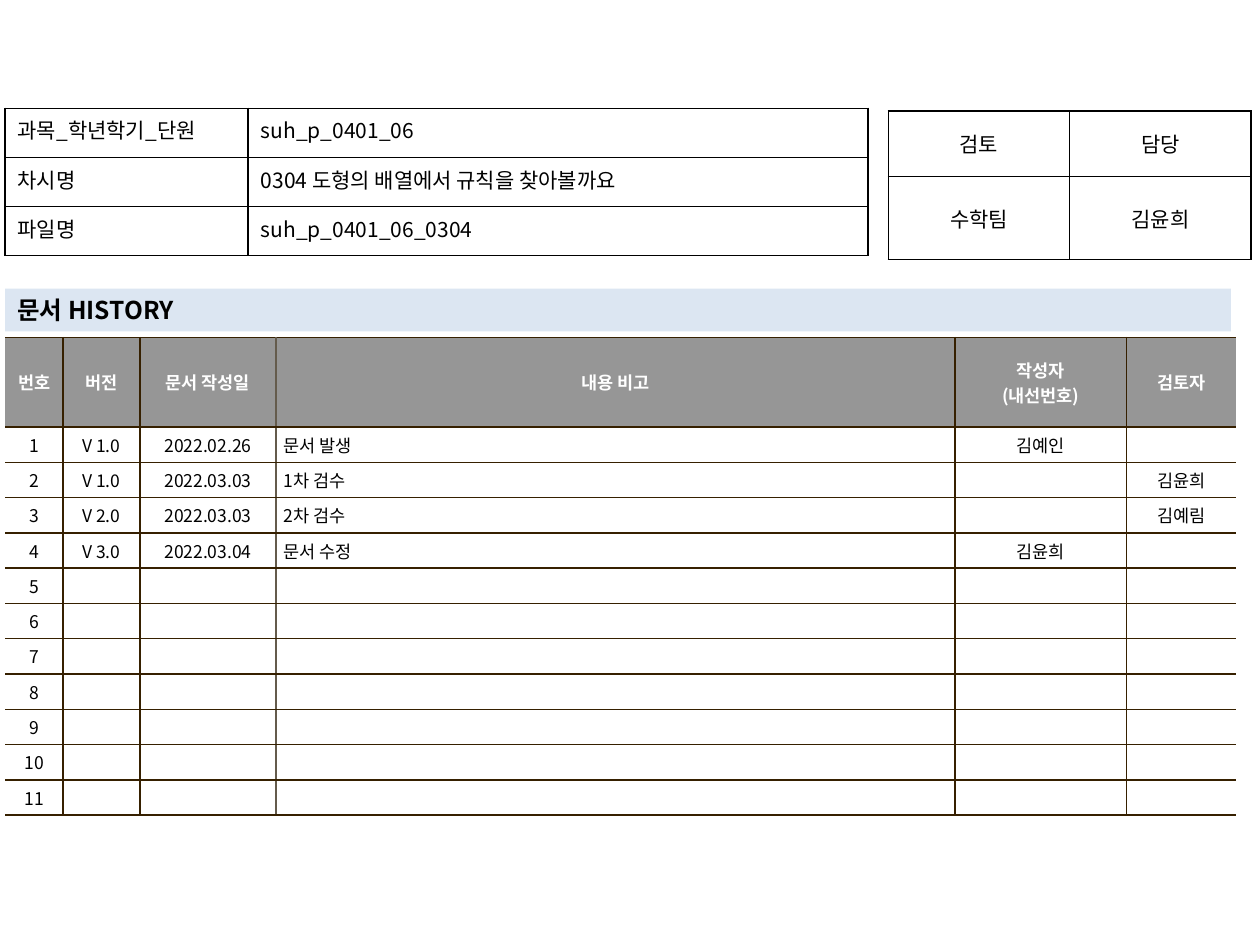
"""Build the document history slide with its header tables."""
from lxml.etree import SubElement
from pptx import Presentation
from pptx.dml.color import RGBColor
from pptx.enum.shapes import MSO_SHAPE
from pptx.enum.text import MSO_ANCHOR, MSO_AUTO_SIZE, PP_ALIGN
from pptx.oxml.ns import qn
from pptx.util import Inches, Pt

FONT = "Noto Sans CJK KR"
COLORS = {
    "black": "000000",
    "white": "FFFFFF",
    "header": "969696",
    "band": "DCE6F2",
    "rule": "362000",
    "soft_rule": "645B4C",
}
LEFT, CENTER, JUSTIFY = PP_ALIGN.LEFT, PP_ALIGN.CENTER, PP_ALIGN.JUSTIFY

DOCUMENT_ROWS = [
    ["과목_학년학기_단원", "suh_p_0401_06"],
    ["차시명", "0304 도형의 배열에서 규칙을 찾아볼까요"],
    ["파일명", "suh_p_0401_06_0304"],
]
REVIEW_ROWS = [["검토", "담당"], ["수학팀", "김윤희"]]
HISTORY_HEADER = ["번호", "버전", "문서 작성일", "내용 비고", "작성자\n(내선번호)", "검토자"]
HISTORY_ENTRIES = [
    ["V 1.0", "2022.02.26", "문서 발생", "김예인", ""],
    ["V 1.0", "2022.03.03", "1차 검수", "", "김윤희"],
    ["V 2.0", "2022.03.03", "2차 검수", "", "김예림"],
    ["V 3.0", "2022.03.04", "문서 수정", "김윤희", ""],
]
HISTORY_LENGTH = 11
NOTE_COLUMN = 3


def rgb(name):
    """Return the named colour."""
    return RGBColor.from_string(COLORS[name])


def write_text(frame, text, size, color="black", bold=False, align=LEFT):
    """Write each line of text as a formatted paragraph."""
    for index, line in enumerate(text.split("\n")):
        paragraph = frame.add_paragraph() if index else frame.paragraphs[0]
        paragraph.alignment = align
        if not line:
            SubElement(paragraph._p, qn("a:endParaRPr"), sz=str(size * 100))
            continue
        run = paragraph.add_run()
        run.text = line
        run.font.size = Pt(size)
        run.font.bold = bold
        run.font.name = FONT
        run.font.color.rgb = rgb(color)
        SubElement(run._r.get_or_add_rPr(), qn("a:ea"), typeface=FONT)


def set_borders(cell, left, right, top, bottom):
    """Draw the four cell borders, leaving out those without a colour."""
    properties = cell._tc.get_or_add_tcPr()
    for side, color in zip("LRTB", (left, right, top, bottom)):
        line = SubElement(properties, qn(f"a:ln{side}"), w=str(Pt(1)))
        if color:
            fill = SubElement(line, qn("a:solidFill"))
            SubElement(fill, qn("a:srgbClr"), val=COLORS[color])
        else:
            SubElement(line, qn("a:noFill"))


def set_margins(cell, horizontal, vertical):
    """Set the inner margins of a cell."""
    cell.margin_left = cell.margin_right = Inches(horizontal)
    cell.margin_top = cell.margin_bottom = Inches(vertical)


def add_grid(slide, left, top, widths, heights):
    """Add an unbanded table with the given column widths and row heights."""
    frame = slide.shapes.add_table(
        len(heights), len(widths), Inches(left), Inches(top),
        Inches(sum(widths)), Inches(sum(heights)))
    table = frame.table
    table.first_row = table.horz_banding = False
    for column, width in zip(table.columns, widths):
        column.width = Inches(width)
    for row, height in zip(table.rows, heights):
        row.height = Inches(height)
    return table


def add_boxed_table(slide, left, top, widths, heights, rows, aligns, anchor):
    """Add an unfilled table with black borders all round."""
    table = add_grid(slide, left, top, widths, heights)
    for row_index, row in enumerate(rows):
        for column_index, text in enumerate(row):
            cell = table.cell(row_index, column_index)
            set_margins(cell, 0.1, 0.05)
            cell.vertical_anchor = anchor
            set_borders(cell, *["black"] * 4)
            cell.fill.background()
            write_text(cell.text_frame, text, 12, align=aligns[column_index])


def add_heading_band(slide, text):
    """Add the pale heading band above the history table."""
    band = slide.shapes.add_shape(
        MSO_SHAPE.RECTANGLE, Inches(0.04), Inches(2.29), Inches(9.73), Inches(0.34))
    band.shadow.inherit = False
    band.fill.solid()
    band.fill.fore_color.rgb = rgb("band")
    band.line.fill.background()
    band.text_frame.word_wrap = True
    band.text_frame.auto_size = MSO_AUTO_SIZE.SHAPE_TO_FIT_TEXT
    write_text(band.text_frame, text, 14, bold=True)


def history_rows():
    """Return the header and the numbered entries, filled up with blank ones."""
    blanks = [[""] * 5] * (HISTORY_LENGTH - len(HISTORY_ENTRIES))
    entries = enumerate(HISTORY_ENTRIES + blanks, start=1)
    return [HISTORY_HEADER] + [[str(number), *entry] for number, entry in entries]


def add_history_table(slide):
    """Add the revision table, open at its left and right edges."""
    widths = [0.46, 0.61, 1.08, 5.39, 1.36, 0.87]
    table = add_grid(slide, 0.04, 2.68, widths, [0.71] + [0.25] * HISTORY_LENGTH)
    rules = [None, "rule", "rule", "soft_rule", "rule", "rule", None]
    for row_index, row in enumerate(history_rows()):
        is_header = row_index == 0
        for column_index, text in enumerate(row):
            cell = table.cell(row_index, column_index)
            is_note = column_index == NOTE_COLUMN and not is_header
            set_margins(cell, 0.06, 0.04)
            cell.vertical_anchor = MSO_ANCHOR.MIDDLE
            set_borders(cell, rules[column_index], rules[column_index + 1], "rule", "rule")
            cell.fill.solid()
            cell.fill.fore_color.rgb = rgb("header" if is_header else "white")
            write_text(cell.text_frame, text, 10, "white" if is_header else "black",
                       is_header, LEFT if is_note else CENTER)
            if is_note:
                properties = cell.text_frame.paragraphs[0]._p.get_or_add_pPr()
                properties.set("marL", str(Inches(0.19)))
                properties.set("indent", str(Inches(-0.19)))


def main():
    """Build and save the presentation."""
    presentation = Presentation()
    presentation.slide_width = Inches(10)
    presentation.slide_height = Inches(7.5)
    slide = presentation.slides.add_slide(presentation.slide_layouts[6])
    add_history_table(slide)
    add_boxed_table(slide, 7.05, 0.88, [1.44] * 2, [0.52, 0.66], REVIEW_ROWS,
                    [CENTER, CENTER], MSO_ANCHOR.MIDDLE)
    add_heading_band(slide, "문서 HISTORY")
    add_boxed_table(slide, 0.04, 0.86, [1.93, 4.92], [0.39] * 3, DOCUMENT_ROWS,
                    [JUSTIFY, LEFT], MSO_ANCHOR.TOP)
    presentation.save("out.pptx")


if __name__ == "__main__":
    main()
